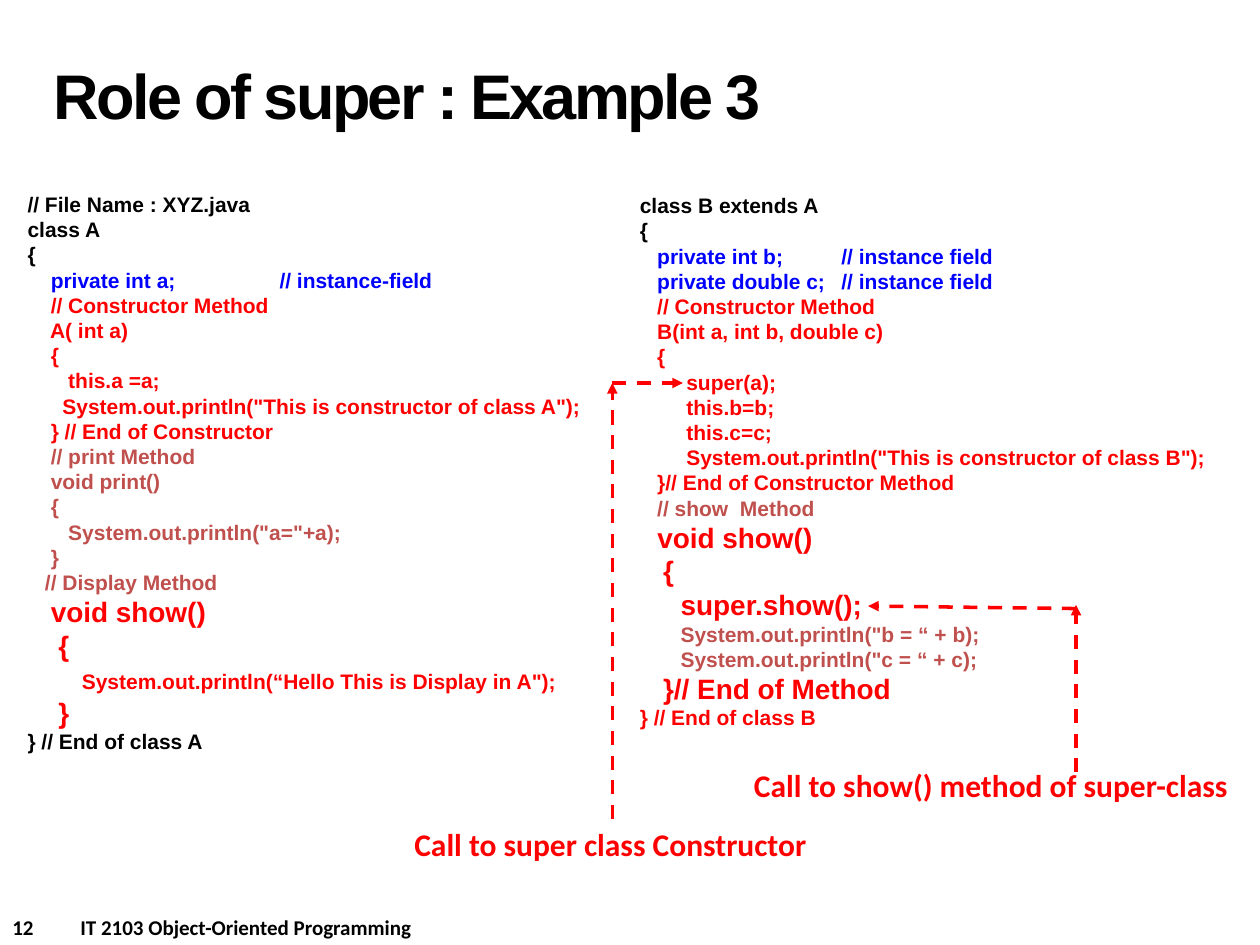
import pptx
import pptx.util
import pptx.dml.color
import pptx.enum.dml
import pptx.enum.shapes
import pptx.enum.text
import pptx.oxml.ns
import lxml.etree

Inches = pptx.util.Inches
Pt = pptx.util.Pt
Align = pptx.enum.text.PP_ALIGN
Anchor = pptx.enum.text.MSO_ANCHOR
Fit = pptx.enum.text.MSO_AUTO_SIZE

HUES = {"ink": "000000", "blue": "0000FF", "red": "FF0000", "rust": "C0504D"}

LEFT = [
    ("ink", 12, 12, "// File Name : XYZ.java\nclass A\n{"),
    ("blue", 12, 12, "    private int a;\t// instance-field"),
    ("red", 12, 12, """    // Constructor Method
    A( int a)
    {
       this.a =a;
      System.out.println("This is constructor of class A");
    } // End of Constructor"""),
    ("rust", 12, 12, """    // print Method
    void print()
    {
       System.out.println("a="+a);
    }
   // Display Method"""),
    ("red", 16, 12, "    void show()"),
    ("red", 16, 16, "    {"),
    ("red", 12, 16, "       System.out.println(“Hello This is Display in A\");"),
    ("red", 16, 16, "    }"),
    ("ink", 12, 12, "} // End of class A"),
]

RIGHT = [
    ("ink", 12, 12, "class B extends A\n{"),
    ("blue", 12, 12, "   private int b;\t// instance field\n   private double c;\t// instance field"),
    ("red", 12, 12, """   // Constructor Method
   B(int a, int b, double c)
   {
        super(a);
        this.b=b;
        this.c=c;
        System.out.println("This is constructor of class B");
   }// End of Constructor Method"""),
    ("rust", 12, 12, "   // show  Method"),
    ("red", 16, 12, "   void show()"),
    ("red", 16, 16, "   {"),
    ("red", 16, 12, "       super.show();"),
    ("rust", 12, 12, """       System.out.println("b = “ + b);
       System.out.println("c = “ + c);"""),
    ("red", 16, 12, "    }// End of Method"),
    ("red", 12, 12, "} // End of class B"),
]


class Deck:
    def __init__(self):
        self.file = pptx.Presentation()
        self.file.slide_width = Inches(10)
        self.file.slide_height = Inches(7.5)
        self.slide = self.file.slides.add_slide(self.file.slide_layouts[6])

    def hue(self, name):
        return pptx.dml.color.RGBColor.from_string(HUES[name])

    def box(self, place, **form):
        shape = self.slide.shapes.add_textbox(*map(Inches, place))
        frame = {"word_wrap": True, "auto_size": Fit.NONE, **form}
        for key, value in frame.items():
            setattr(shape.text_frame, key, value)
        return shape

    def run(self, para, text, size, hue, face):
        run = para.add_run()
        run.text = text
        look = {"name": face, "size": Pt(size), "bold": True}
        for key, value in look.items():
            setattr(run.font, key, value)
        run.font.color.rgb = self.hue(hue)
        return run

    def tab(self, para, stop):
        name = pptx.oxml.ns.qn
        tabs = lxml.etree.SubElement(para._p.get_or_add_pPr(), name("a:tabLst"))
        lxml.etree.SubElement(tabs, name("a:tab"), pos=str(Inches(stop)), algn="l")

    def title(self, place, text):
        para = self.box(place, vertical_anchor=Anchor.MIDDLE).text_frame.paragraphs[0]
        para.line_spacing = Pt(36)
        run = self.run(para, text, 36, "ink", "Arial")
        run._r.get_or_add_rPr().set("spc", "-150")

    def label(self, place, text, size=18, hue="red", align=Align.LEFT, stop=None, **form):
        shape = self.box(place, **form)
        para = shape.text_frame.paragraphs[0]
        para.alignment = align
        if stop:
            self.tab(para, stop)
        self.run(para, text, size, hue, "Calibri")
        return shape

    def code(self, place, parts, stop):
        frame = self.box(place).text_frame
        rows = [(hue, size, lead, line) for hue, size, lead, block in parts
                for line in block.split("\n")]
        for i, (hue, size, lead, line) in enumerate(rows):
            para = frame.add_paragraph() if i else frame.paragraphs[0]
            if "\t" in line:
                self.tab(para, stop)
            text = line.lstrip(" ")
            pad = line[:len(line) - len(text)]
            if size == lead:
                self.run(para, line, size, hue, "Arial")
            else:
                self.run(para, pad, lead, hue, "Arial")
                self.run(para, text, size, hue, "Arial")

    def arrow(self, start, end, source=None):
        kind = pptx.enum.shapes.MSO_CONNECTOR.STRAIGHT
        link = self.slide.shapes.add_connector(kind, *map(Inches, start + end))
        if source is not None:
            link.begin_connect(source, 0)
        form = {"width": Pt(2), "dash_style": pptx.enum.dml.MSO_LINE.DASH}
        for key, value in form.items():
            setattr(link.line, key, value)
        link.line.color.rgb = self.hue("red")
        name = pptx.oxml.ns.qn
        line = link.line._get_or_add_ln()
        lxml.etree.SubElement(line, name("a:tailEnd"), type="triangle")
        lxml.etree.SubElement(link._element.spPr, name("a:effectLst"))


def main():
    deck = Deck()
    deck.label((0, 7.21, 5, 0.3), "12\tIT 2103 Object-Oriented Programming",
               size=12, hue="ink", stop=0.54)
    deck.title((0.33, 0.17, 6.92, 1.25), "Role of super : Example 3")
    deck.code((0.12, 1.47, 4.65, 4.61), LEFT, 2)
    deck.code((4.98, 1.48, 4.9, 4.41), RIGHT, 1.6)

    base = deck.label((3.19, 6.5, 3.34, 0.4), "Call to super class Constructor",
                      word_wrap=False)
    bend = (4.86, 3.04)
    deck.arrow((4.86, 6.5), bend, base)
    deck.arrow(bend, (5.42, 3.04))

    deck.arrow((8.54, 4.83), (6.89, 4.81))
    deck.arrow((8.54, 6.13), (8.54, 4.8))
    deck.label((5.79, 6.03, 4.15, 0.4), "Call to show() method of super-class",
               align=Align.CENTER)
    deck.file.save("out.pptx")


if __name__ == "__main__":
    main()
